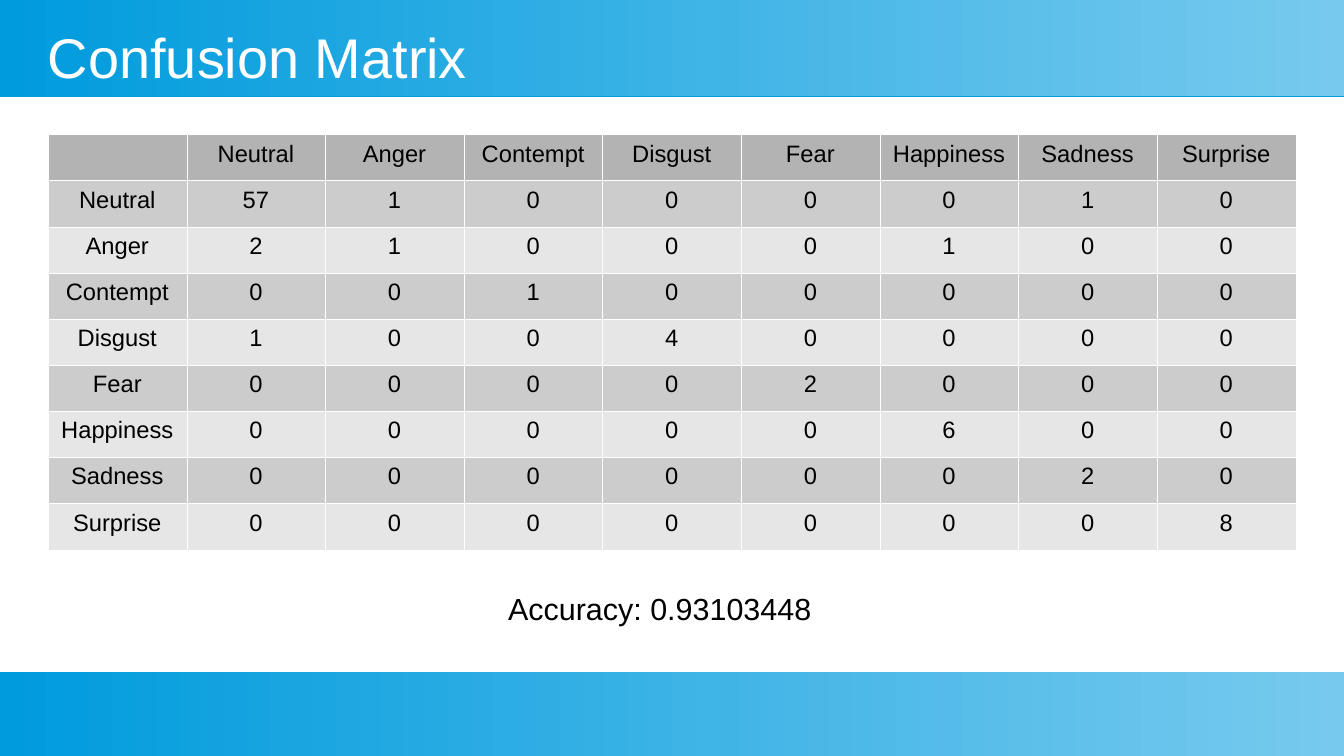
from lxml import etree
from pptx import Presentation
from pptx.dml.color import RGBColor
from pptx.enum.shapes import MSO_SHAPE
from pptx.enum.text import MSO_ANCHOR, MSO_AUTO_SIZE, PP_ALIGN
from pptx.oxml.ns import qn
from pptx.util import Pt

RECTANGLE = MSO_SHAPE.RECTANGLE
MIDDLE = MSO_ANCHOR.MIDDLE
GROW = MSO_AUTO_SIZE.SHAPE_TO_FIT_TEXT
LEFT = PP_ALIGN.LEFT
CENTER = PP_ALIGN.CENTER

WIDTH, HEIGHT = 793.7, 446.45
MARGIN = 28.35
CONTENT_WIDTH = WIDTH - 2 * MARGIN
FONT = "Arial"
BLUE, PALE_BLUE = "009BDD", "77CAEE"
WHITE, BLACK = "FFFFFF", "000000"
HEADER_GREY = "B3B3B3"
ROW_GREYS = ["CCCCCC", "E6E6E6"]

EMOTIONS = ["Neutral", "Anger", "Contempt", "Disgust",
            "Fear", "Happiness", "Sadness", "Surprise"]
COUNTS = [
    [57, 1, 0, 0, 0, 0, 1, 0],
    [2, 1, 0, 0, 0, 1, 0, 0],
    [0, 0, 1, 0, 0, 0, 0, 0],
    [1, 0, 0, 4, 0, 0, 0, 0],
    [0, 0, 0, 0, 2, 0, 0, 0],
    [0, 0, 0, 0, 0, 6, 0, 0],
    [0, 0, 0, 0, 0, 0, 2, 0],
    [0, 0, 0, 0, 0, 0, 0, 8],
]


def color(value):
    return RGBColor.from_string(value)


def points(box):
    return [Pt(length) for length in box]


def write(para, text, size, ink, align):
    para.text = text
    para.alignment = align
    para.font.name = FONT
    para.font.size = Pt(size)
    para.font.color.rgb = color(ink)


def add_band(page, box):
    band = page.shapes.add_shape(RECTANGLE, *points(box))
    band.line.fill.background()
    band.fill.gradient()
    band.fill.gradient_angle = 0
    for stop, value in zip(band.fill.gradient_stops, (BLUE, PALE_BLUE)):
        stop.color.rgb = color(value)
    band.shadow.inherit = False
    effects = band.element.spPr.find(qn("a:effectLst"))
    shadow = etree.SubElement(effects, qn("a:outerShdw"), blurRad="0",
                              dist=str(Pt(0.9)), dir="5400000",
                              algn="ctr", rotWithShape="0")
    etree.SubElement(shadow, qn("a:srgbClr"), val=BLUE)


def place_title(page, box, text):
    title = page.shapes.title
    page.shapes.element.append(title.element)
    title.left, title.top, title.width, title.height = points(box)
    frame = title.text_frame
    frame.margin_left = frame.margin_right = 0
    frame.margin_top = frame.margin_bottom = 0
    frame.vertical_anchor = MIDDLE
    frame.word_wrap = True
    frame.auto_size = GROW
    write(frame.paragraphs[0], text, 33, WHITE, LEFT)


def add_borders(cell):
    properties = cell._tc.get_or_add_tcPr()
    for side in ("lnL", "lnR", "lnT", "lnB"):
        line = etree.SubElement(properties, qn(f"a:{side}"), w=str(Pt(0.06)))
        fill = etree.SubElement(line, qn("a:solidFill"))
        etree.SubElement(fill, qn("a:srgbClr"), val=WHITE)


def add_matrix(page, box):
    rows = [["", *EMOTIONS]]
    rows += [[name, *counts] for name, counts in zip(EMOTIONS, COUNTS)]
    size = len(rows)
    table = page.shapes.add_table(size, size, *points(box)).table
    table.first_row = table.horz_banding = False
    for column in table.columns:
        column.width = Pt(box[2] / size)
    for row in table.rows:
        row.height = Pt(box[3] / size)
    for i, values in enumerate(rows):
        grey = ROW_GREYS[(i - 1) % 2] if i else HEADER_GREY
        for j, value in enumerate(values):
            cell = table.cell(i, j)
            add_borders(cell)
            cell.fill.solid()
            cell.fill.fore_color.rgb = color(grey)
            cell.margin_bottom = 0
            write(cell.text_frame.paragraphs[0], str(value), 14, BLACK, CENTER)


def add_accuracy(page, box):
    frame = page.shapes.add_textbox(*points(box)).text_frame
    frame.word_wrap = False
    frame.auto_size = GROW
    write(frame.paragraphs[0], "Accuracy: 0.93103448", 18, BLACK, LEFT)


def add_matrix_page(deck):
    page = deck.slides.add_slide(deck.slide_layouts[5])
    add_band(page, (0, 0, WIDTH, 56.7))
    add_band(page, (0, HEIGHT - 49.6, WIDTH, 49.6))
    place_title(page, (MARGIN, 14.4, CONTENT_WIDTH, 37.4), "Confusion Matrix")
    add_matrix(page, (MARGIN, 79.4, CONTENT_WIDTH, 245.4))
    add_accuracy(page, (293, 344.9, 193.7, 27.4))


def main():
    deck = Presentation()
    deck.slide_width, deck.slide_height = Pt(WIDTH), Pt(HEIGHT)
    add_matrix_page(deck)
    deck.save("out.pptx")


if __name__ == "__main__":
    main()
